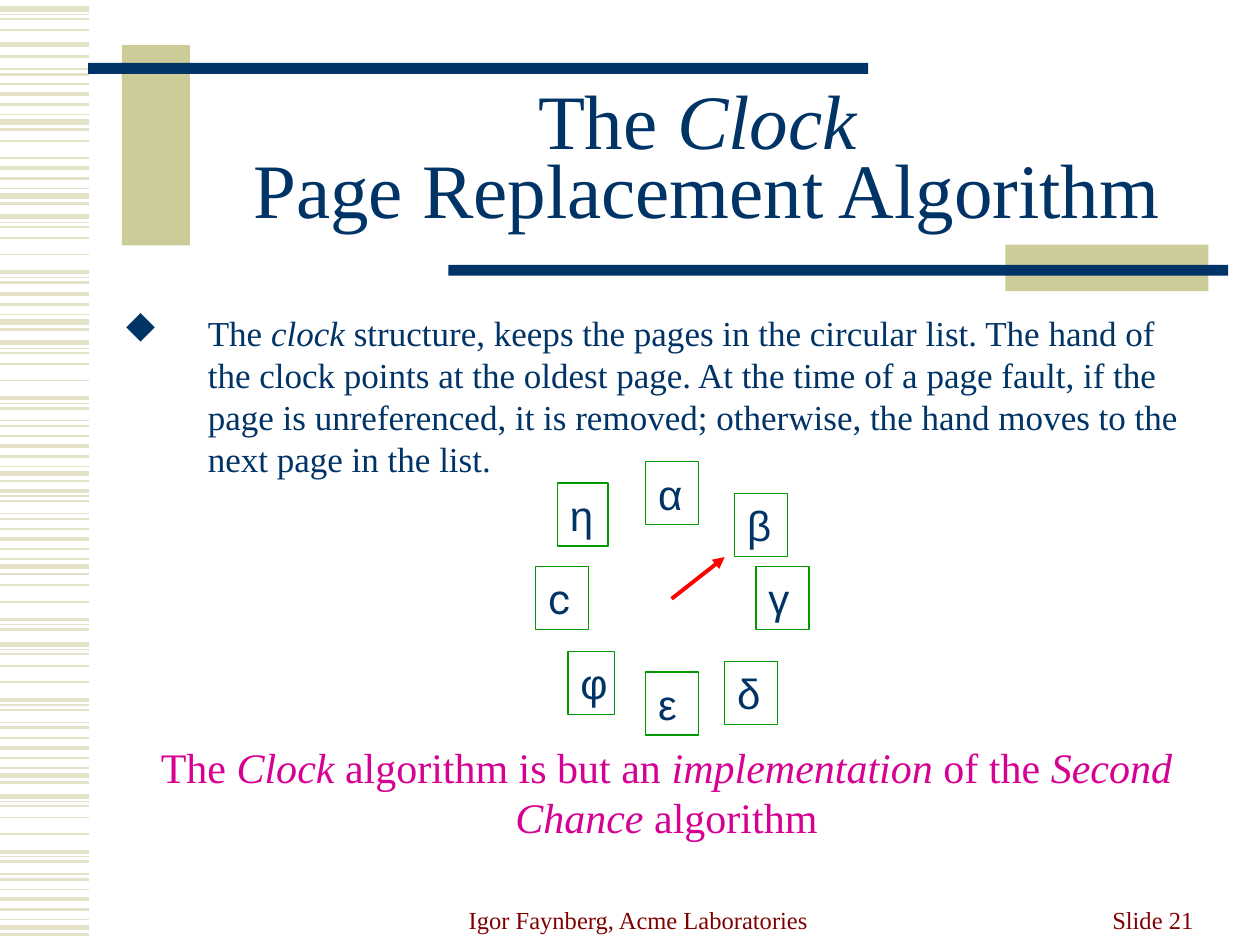
from lxml import etree
from pptx import Presentation
from pptx.dml.color import RGBColor
from pptx.enum import shapes, text
from pptx.oxml import ns
from pptx.util import Cm, Pt

rgb = RGBColor.from_string
NAVY, KHAKI, PALE = "003366", "CCCC99", "E3E2C7"
GREEN, RED, PINK, MAROON = "009900", "FF0000", "D60093", "800000"
SERIF, SANS = "Times New Roman", "Arial"


def write(tf, content, size, color, font=SERIF, align=text.PP_ALIGN.LEFT,
          anchor=text.MSO_ANCHOR.TOP):
    """Fill a text frame; parts between asterisks are italic, \\v ends a line."""
    tf.word_wrap = True
    tf.auto_size = text.MSO_AUTO_SIZE.NONE
    tf.vertical_anchor = anchor
    p = tf.paragraphs[0]
    p.alignment = align
    for i, part in enumerate(content.split("*")):
        r = p.add_run()
        r.text = part.rstrip("\v")
        r.font.size = Pt(size)
        r.font.name = font
        r.font.italic = i % 2 == 1
        r.font.color.rgb = rgb(color)
        if part.endswith("\v"):
            p.add_line_break()
    return p


def add_line(x1, y1, x2, y2, color, width):
    line = s.shapes.add_connector(shapes.MSO_CONNECTOR.STRAIGHT,
                                  Cm(x1), Cm(y1), Cm(x2), Cm(y2))
    line.line.color.rgb = rgb(color)
    line.line.width = Pt(width)
    etree.SubElement(line._element.spPr, ns.qn("a:effectLst"))
    return line


prs = Presentation()
prs.slide_width, prs.slide_height = Cm(25.4), Cm(19.05)
s = prs.slides.add_slide(prs.slide_layouts[5])

# Striped left margin: one pattern of (offset, weight), repeated whole or in part
pattern = [(0, 3), (0.11, 0.75), (0.2, 1), (0.43, 1), (0.76, 1), (1.12, 2.25),
           (1.22, 0.75), (1.32, 1.5), (1.57, 0.75), (1.68, 1.5), (1.88, 1),
           (2.08, 2.25), (2.29, 1.5), (2.49, 0.75), (2.64, 3), (2.79, 1.5)]
# Top of the pattern, first and last stripe used
stripe_blocks = [(0.18, 0, 4), (0.89, 0, 1), (-0.18, 7, 16), (2.08, 4, 5),
                 (1.31, 10, 16), (4.37, 0, 8), (3.85, 11, 16), (6.91, 0, 16),
                 (8.78, 5, 16), (11.37, 3, 8), (12.99, 0, 16), (16.05, 0, 16)]
for top, first, last in stripe_blocks:
    for offset, weight in pattern[first:last]:
        add_line(0, top + offset, 1.8, top + offset, PALE, weight)

# Blocks and bars framing the title
for x, y, w, h, color in [(2.46, 0.91, 1.37, 4.04, KHAKI),
                          (1.78, 1.27, 15.72, 0.22, NAVY),
                          (20.27, 4.93, 4.09, 0.94, KHAKI),
                          (9.04, 5.34, 15.72, 0.22, NAVY)]:
    sp = s.shapes.add_shape(shapes.MSO_SHAPE.RECTANGLE, Cm(x), Cm(y), Cm(w), Cm(h))
    sp.shadow.inherit = False
    sp.fill.solid()
    sp.fill.fore_color.rgb = rgb(color)
    sp.line.fill.background()

title = s.shapes.title
title.left, title.top, title.width, title.height = Cm(3.81), Cm(1.7), Cm(20.5), Cm(3.18)
p = write(title.text_frame, "The *Clock\v* Page Replacement Algorithm", 44, NAVY,
          align=text.PP_ALIGN.CENTER, anchor=text.MSO_ANCHOR.MIDDLE)
p.line_spacing = 0.75

# Bulleted explanation
body = s.shapes.add_textbox(Cm(2.24), Cm(6.15), Cm(22.1), Cm(10.77))
p = write(body.text_frame,
          "The *clock *structure, keeps the pages in the circular list. The hand of "
          "the clock points at the oldest page. At the time of a page fault, if the "
          "page is unreferenced, it is removed; otherwise, the hand moves to the "
          "next page in the list.", 20, NAVY)
pPr = p._p.get_or_add_pPr()
pPr.set("marL", str(Cm(1.7)))
pPr.set("indent", str(-Cm(1.7)))
bullet_color = etree.SubElement(pPr, ns.qn("a:buClr"))
etree.SubElement(bullet_color, ns.qn("a:srgbClr"), val=NAVY)
# The letter u is a solid diamond in Wingdings
etree.SubElement(pPr, ns.qn("a:buFont"), typeface="Wingdings", charset="2")
etree.SubElement(pPr, ns.qn("a:buChar"), char="u")

# Conclusion and footer
caption = s.shapes.add_textbox(Cm(2.54), Cm(14.82), Cm(21.79), Cm(2.29))
write(caption.text_frame,
      "The *Clock* algorithm is but an *implementation* of the *Second Chance *algorithm",
      24, PINK, align=text.PP_ALIGN.CENTER)
for x, w, label, align in [
        (8.59, 8.56, "Igor Faynberg, Acme Laboratories", text.PP_ALIGN.CENTER),
        (18.21, 6.1, "Slide 21", text.PP_ALIGN.RIGHT)]:
    footer = s.shapes.add_textbox(Cm(x), Cm(17.7), Cm(w), Cm(1.27))
    write(footer.text_frame, label, 14, MAROON, align=align,
          anchor=text.MSO_ANCHOR.BOTTOM)

# Pages around the clock face
for label, x, y, w, font in [("α", 13.02, 9.31, 1.07, SANS),
                             ("β", 14.81, 9.95, 1.07, SANS),
                             ("γ", 15.24, 11.42, 1.07, SANS),
                             ("δ", 14.61, 13.34, 1.07, SANS),
                             ("ε", 13.02, 13.55, 1.07, SANS),
                             ("c", 10.8, 11.42, 1.07, "Roboto"),
                             ("φ", 11.45, 13.13, 0.94, SANS),
                             ("η", 11.24, 9.74, 1.02, SANS)]:
    page = s.shapes.add_shape(shapes.MSO_SHAPE.RECTANGLE,
                              Cm(x), Cm(y), Cm(w), Cm(1.27))
    page.shadow.inherit = False
    page.fill.background()
    page.line.color.rgb = rgb(GREEN)
    page.line.width = Pt(0.75)
    write(page.text_frame, label, 24, NAVY, font)

hand = add_line(13.54, 12.07, 14.61, 11.23, RED, 2.25)
etree.SubElement(hand.line._get_or_add_ln(), ns.qn("a:tailEnd"), type="triangle")

prs.save("out.pptx")
